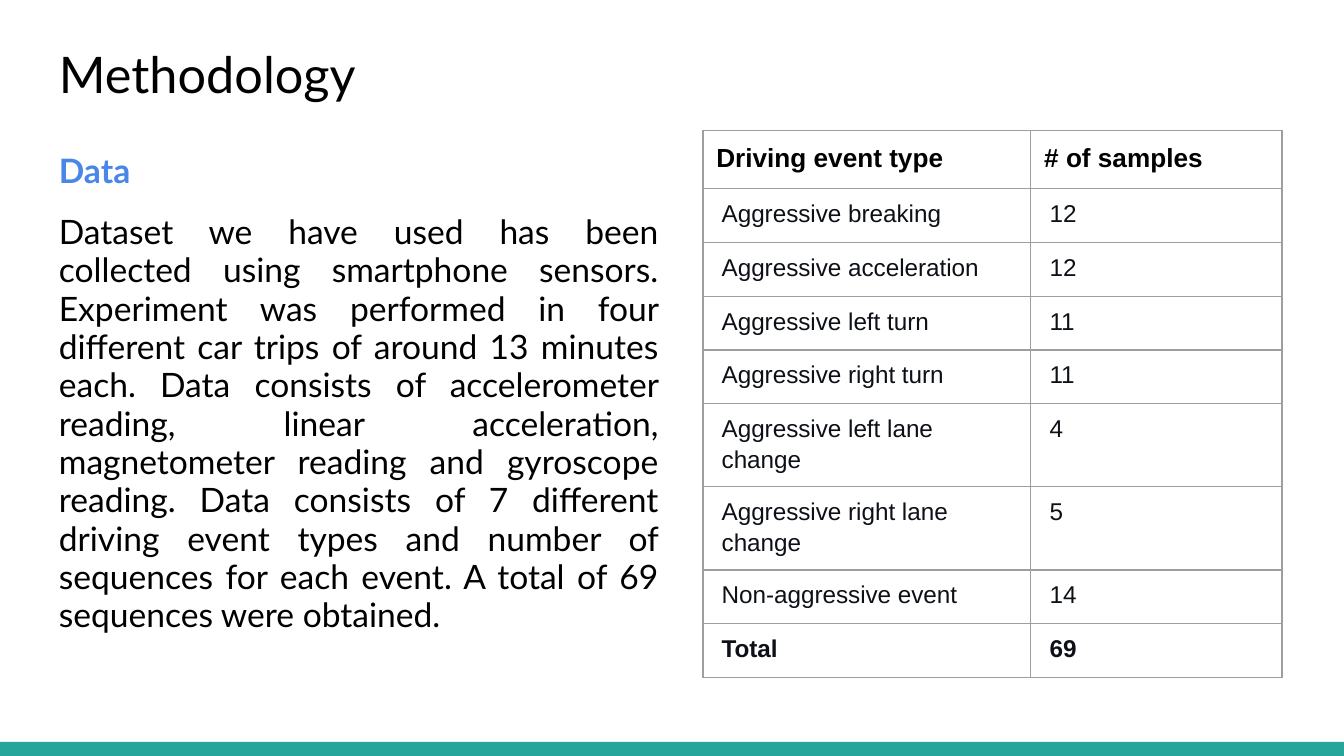
from typing import NamedTuple

from lxml import etree
from pptx import Presentation
from pptx.dml.color import RGBColor
from pptx.enum.shapes import MSO_SHAPE
from pptx.enum.text import PP_ALIGN
from pptx.oxml.ns import qn
from pptx.util import Inches, Pt


class Style(NamedTuple):
    """Look of one paragraph."""
    font: str
    size: float
    color: str
    bold: bool = False
    spacing: float = 1.0
    before: float = 0
    after: float = 0
    align: PP_ALIGN = PP_ALIGN.LEFT


class EventRow(NamedTuple):
    """One line of the event table."""
    event: str
    samples: str
    style: Style
    height: float = 0.4
    inset_x: float = 0.14
    inset_y: float = 0.06


TITLE = Style("Lato", 27, "000000")
HEADING = Style("Lato", 18, "4A86E8", bold=True, spacing=0.95)
BODY = Style("Lato", 18, "000000", spacing=0.95, before=12, after=12,
             align=PP_ALIGN.JUSTIFY)
HEADER = Style("Arial", 14, "000000", bold=True)
CELL = Style("Arial", 13, "0D1117", spacing=1.15, after=12)
TOTAL = CELL._replace(bold=True)

DATA_TEXT = (
    "Dataset we have used has been collected using smartphone sensors. "
    "Experiment was performed in four different car trips of around 13 minutes "
    "each. Data consists of accelerometer reading, linear acceleration, "
    "magnetometer reading and gyroscope reading. Data consists of 7 different "
    "driving event types and number of sequences for each event. A total of 69 "
    "sequences were obtained."
)
EVENT_ROWS = [
    EventRow("Driving event type", "# of samples", HEADER, 0.42, 0.1, 0.1),
    EventRow("Aggressive breaking", "12", CELL),
    EventRow("Aggressive acceleration", "12", CELL),
    EventRow("Aggressive left turn", "11", CELL),
    EventRow("Aggressive right turn", "11", CELL),
    EventRow("Aggressive left lane change", "4", CELL, 0.59),
    EventRow("Aggressive right lane change", "5", CELL, 0.59),
    EventRow("Non-aggressive event", "14", CELL),
    EventRow("Total", "69", TOTAL),
]
COLUMN_WIDTHS = [2.44, 1.87]
SLIDE_WIDTH = Inches(10)
SLIDE_HEIGHT = SLIDE_WIDTH * 9 // 16


def rgb(color: str) -> RGBColor:
    """Turn a hex string into a colour."""
    return RGBColor.from_string(color)


def write_paragraph(paragraph, text: str, style: Style) -> None:
    """Put styled text into a paragraph."""
    paragraph.alignment = style.align
    paragraph.line_spacing = style.spacing
    paragraph.space_before = Pt(style.before)
    paragraph.space_after = Pt(style.after)
    run = paragraph.add_run()
    run.text = text
    run.font.name = style.font
    run.font.size = Pt(style.size)
    run.font.bold = style.bold
    run.font.color.rgb = rgb(style.color)


def add_text(slide, left: float, top: float, width: float, height: float,
             parts: list[tuple[str, Style]]) -> None:
    """Add a text box with one paragraph per part."""
    frame = slide.shapes.add_textbox(
        Inches(left), Inches(top), Inches(width), Inches(height)).text_frame
    frame.word_wrap = True
    frame.margin_left = frame.margin_right = Inches(0.1)
    frame.margin_top = frame.margin_bottom = Inches(0.1)
    for index, (text, style) in enumerate(parts):
        paragraph = frame.add_paragraph() if index else frame.paragraphs[0]
        write_paragraph(paragraph, text, style)


def add_borders(cell, color: str, width: float) -> None:
    """Draw a line on all four sides of a cell."""
    properties = cell._tc.get_or_add_tcPr()
    for position, side in enumerate(("lnL", "lnR", "lnT", "lnB")):
        line = etree.Element(qn(f"a:{side}"), w=str(Pt(width)))
        fill = etree.SubElement(line, qn("a:solidFill"))
        etree.SubElement(fill, qn("a:srgbClr"), val=color)
        properties.insert(position, line)


def add_event_table(slide, left: float, top: float) -> None:
    """Add the table of driving events."""
    table = slide.shapes.add_table(
        len(EVENT_ROWS), len(COLUMN_WIDTHS), Inches(left), Inches(top),
        Inches(sum(COLUMN_WIDTHS)),
        Inches(sum(row.height for row in EVENT_ROWS))).table
    table.horz_banding = False
    for column, width in zip(table.columns, COLUMN_WIDTHS):
        column.width = Inches(width)
    for table_row, row in zip(table.rows, EVENT_ROWS):
        table_row.height = Inches(row.height)
        for cell, text in zip(table_row.cells, (row.event, row.samples)):
            cell.margin_left = cell.margin_right = Inches(row.inset_x)
            cell.margin_top = cell.margin_bottom = Inches(row.inset_y)
            cell.fill.solid()
            cell.fill.fore_color.rgb = rgb("FFFFFF")
            add_borders(cell, "9E9E9E", 0.75)
            write_paragraph(cell.text_frame.paragraphs[0], text, row.style)


def add_footer_bar(slide) -> None:
    """Add the coloured bar along the bottom edge."""
    top = Inches(5.52)
    bar = slide.shapes.add_shape(
        MSO_SHAPE.RECTANGLE, 0, top, SLIDE_WIDTH, SLIDE_HEIGHT - top)
    bar.shadow.inherit = False
    bar.fill.solid()
    bar.fill.fore_color.rgb = rgb("26A69A")
    bar.line.fill.background()


def main() -> None:
    """Build and save the slide."""
    deck = Presentation()
    deck.slide_width, deck.slide_height = SLIDE_WIDTH, SLIDE_HEIGHT
    slide = deck.slides.add_slide(deck.slide_layouts[6])
    add_footer_bar(slide)
    add_text(slide, 0.34, 0.22, 9.32, 0.67, [("Methodology", TITLE)])
    add_text(slide, 0.34, 1.04, 4.66, 3.72,
             [("Data", HEADING), (DATA_TEXT, BODY)])
    add_event_table(slide, 5.23, 0.97)
    deck.save("out.pptx")


main()
